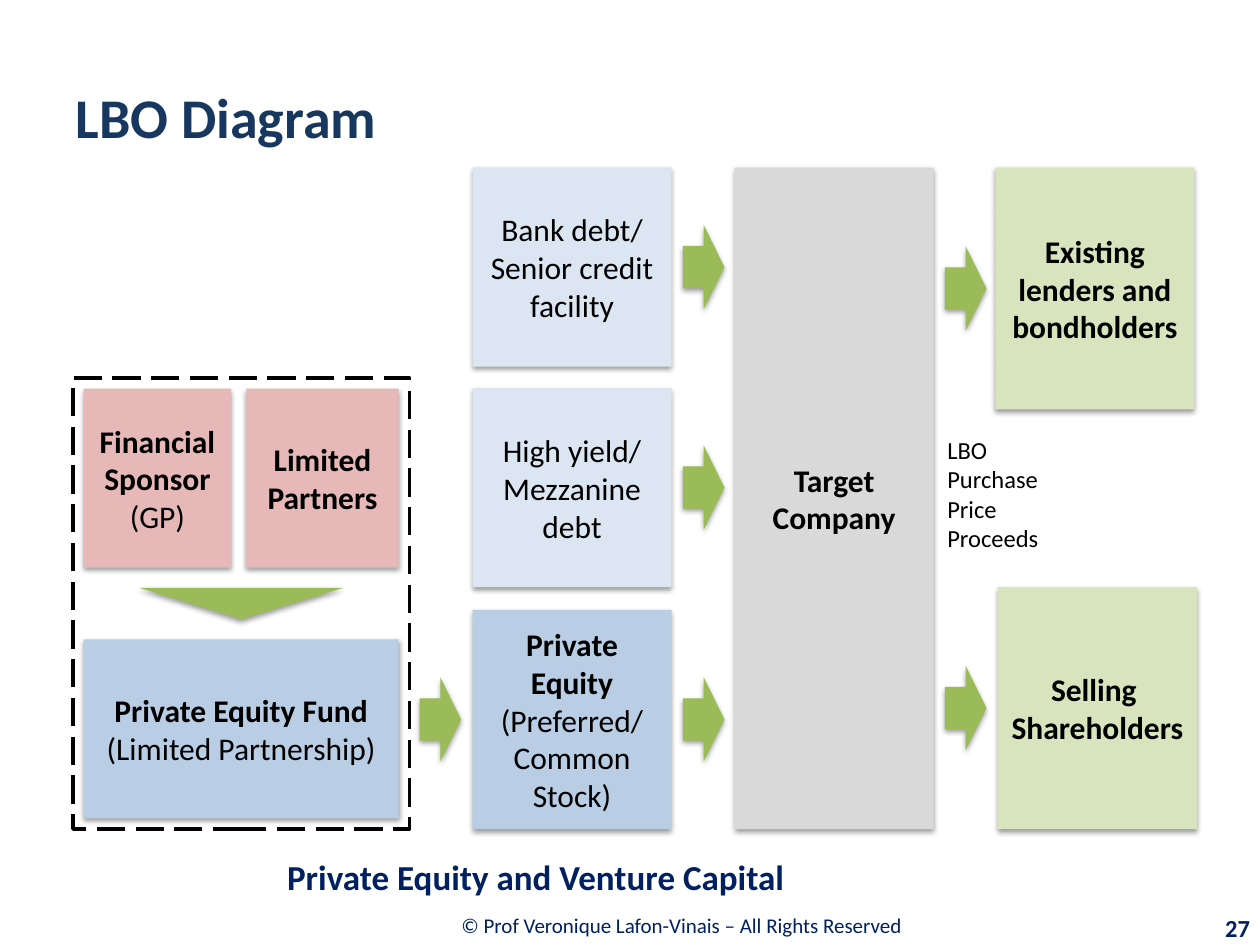
from dataclasses import dataclass

from lxml import etree
from pptx import Presentation
from pptx.dml.color import RGBColor
from pptx.enum import dml, shapes, text
from pptx.oxml import ns
from pptx.util import Inches, Pt


@dataclass(frozen=True)
class Theme:
    font: str = "Calibri"
    title: str = "17375E"
    navy: str = "002060"
    ink: str = "000000"
    pink: str = "E6B9B8"
    blue: str = "B9CDE5"
    pale_blue: str = "DCE6F2"
    grey: str = "D9D9D9"
    pale_green: str = "D7E4BD"
    green: str = "9BBB59"
    title_size: int = 32
    course_size: int = 20
    box_size: int = 18
    label_size: int = 14
    footer_size: int = 12


T = Theme()
ALIGN = text.PP_ALIGN
SHAPE = shapes.MSO_SHAPE
ARROW_W, ARROW_H = 0.33, 0.67
TOP, BOTTOM = 1.33, 6.58
COLUMN_W = 1.58


def write(sp, paragraphs, size, color, align=ALIGN.LEFT, wrap=True):
    """Fill a shape; each paragraph is a list of (wording, bold) runs."""
    tf = sp.text_frame
    tf.word_wrap = wrap
    tf.vertical_anchor = text.MSO_ANCHOR.MIDDLE
    for i, runs in enumerate(paragraphs):
        p = tf.add_paragraph() if i else tf.paragraphs[0]
        p.alignment = align
        for wording, bold in runs:
            r = p.add_run()
            r.text = wording
            r.font.name, r.font.size, r.font.bold = T.font, Pt(size), bold
            r.font.color.rgb = RGBColor.from_string(color)


def add_text(s, box, paragraphs, size, color, **options):
    sp = s.shapes.add_textbox(*map(Inches, box))
    write(sp, paragraphs, size, color, **options)


def add_shadow(sp):
    sp.shadow.inherit = False
    effects = sp._element.spPr.find(ns.qn("a:effectLst"))
    shadow = etree.SubElement(effects, ns.qn("a:outerShdw"), blurRad=str(Pt(3.1)),
                              dist=str(Pt(1.6)), dir="5400000", rotWithShape="0")
    color = etree.SubElement(shadow, ns.qn("a:srgbClr"), val=T.ink)
    etree.SubElement(color, ns.qn("a:alpha"), val="38000")


def add_solid(s, kind, box, fill):
    sp = s.shapes.add_shape(kind, *map(Inches, box))
    sp.fill.solid()
    sp.fill.fore_color.rgb = RGBColor.from_string(fill)
    sp.line.fill.background()
    add_shadow(sp)
    return sp


def add_box(s, box, fill, *paragraphs):
    sp = add_solid(s, SHAPE.RECTANGLE, box, fill)
    write(sp, paragraphs, T.box_size, T.ink, ALIGN.CENTER)


def add_arrow(s, x, center):
    add_solid(s, SHAPE.RIGHT_ARROW, (x, center - ARROW_H / 2, ARROW_W, ARROW_H), T.green)


def add_title(s, box):
    sp = s.shapes.title
    sp.left, sp.top, sp.width, sp.height = map(Inches, box)
    write(sp, [[("LBO Diagram", True)]], T.title_size, T.title)


def add_fund(s, x, y, w, h):
    """Dashed frame with the two partners feeding the fund."""
    frame = s.shapes.add_shape(SHAPE.RECTANGLE, *map(Inches, (x, y, w, h)))
    frame.shadow.inherit = False
    frame.fill.background()
    frame.line.color.rgb = RGBColor.from_string(T.ink)
    frame.line.width = Pt(2)
    frame.line.dash_style = dml.MSO_LINE.LONG_DASH

    pad, box_h = 0.085, 1.42
    left, right, top = x + pad, x + w - pad, y + pad
    add_box(s, (left, y + h - pad - box_h, right - left, box_h), T.blue,
            [("Private Equity Fund ", True), ("(Limited Partnership)", False)])
    add_box(s, (left, top, 1.17, box_h), T.pink,
            [("Financial Sponsor ", True), ("(GP)", False)])
    add_box(s, (right - 1.21, top, 1.21, box_h), T.pink, [("Limited Partners", True)])

    # Flat pointer from the partners down to the fund
    pointer = add_solid(s, SHAPE.PENTAGON, (x + w / 2 - 0.125, 3.98, 0.25, 1.62), T.green)
    pointer.adjustments[0] = 1
    pointer.rotation = 90


def add_funding(s, x, arrow_x):
    """Column of funding sources, each with an arrow to the target."""
    sources = [
        (TOP, 1.58, T.pale_blue, [[("Bank debt/ Senior credit facility", False)]]),
        (3.08, 1.58, T.pale_blue, [[("High yield/ Mezzanine debt", False)]]),
        (4.84, 1.74, T.blue, [[("Private Equity", True)],
                              [("(Preferred/ Common Stock)", False)]]),
    ]
    for y, h, fill, paragraphs in sources:
        add_box(s, (x, y, COLUMN_W, h), fill, *paragraphs)
        add_arrow(s, arrow_x, y + h / 2)


def add_proceeds(s, arrow_x):
    """Recipients of the purchase price, with arrows and a label."""
    h = 1.92
    add_box(s, (7.9, TOP, COLUMN_W, h), T.pale_green,
            [("Existing lenders and bondholders", True)])
    add_box(s, (7.92, BOTTOM - h, COLUMN_W, h), T.pale_green,
            [("Selling ", True)], [("Shareholders", True)])
    for center in (TOP + h / 2, BOTTOM - h / 2):
        add_arrow(s, arrow_x, center)
    words = ("LBO", "Purchase", "Price", "Proceeds")
    add_text(s, (7.42, 3.42, 1, 1), [[(word, False)] for word in words],
             T.label_size, T.ink, wrap=False)


def add_footer(s):
    add_text(s, (2.18, 6.72, 7.82, 0.47), [[("Private Equity and Venture Capital", True)]],
             T.course_size, T.navy)
    add_text(s, (2.19, 7.15, 6.48, 0.39),
             [[("© Prof Veronique Lafon-Vinais – All Rights Reserved ", False)]],
             T.footer_size, T.navy, align=ALIGN.CENTER)
    add_text(s, (9.01, 7.2, 1.01, 0.32), [[("27", True)]],
             T.label_size, T.navy, align=ALIGN.RIGHT)


def main():
    prs = Presentation()
    prs.slide_width, prs.slide_height = Inches(10), Inches(7.5)
    s = prs.slides.add_slide(prs.slide_layouts[5])

    add_title(s, (0.5, 0.3, 9, 1.25))
    add_fund(s, 0.58, 3, 2.67, BOTTOM - 3)
    add_arrow(s, 3.33, 5.71)
    add_funding(s, 3.75, 5.42)
    add_box(s, (5.83, TOP, COLUMN_W, BOTTOM - TOP), T.grey, [("Target Company", True)])
    add_proceeds(s, 7.5)
    add_footer(s)
    prs.save("out.pptx")


if __name__ == "__main__":
    main()
